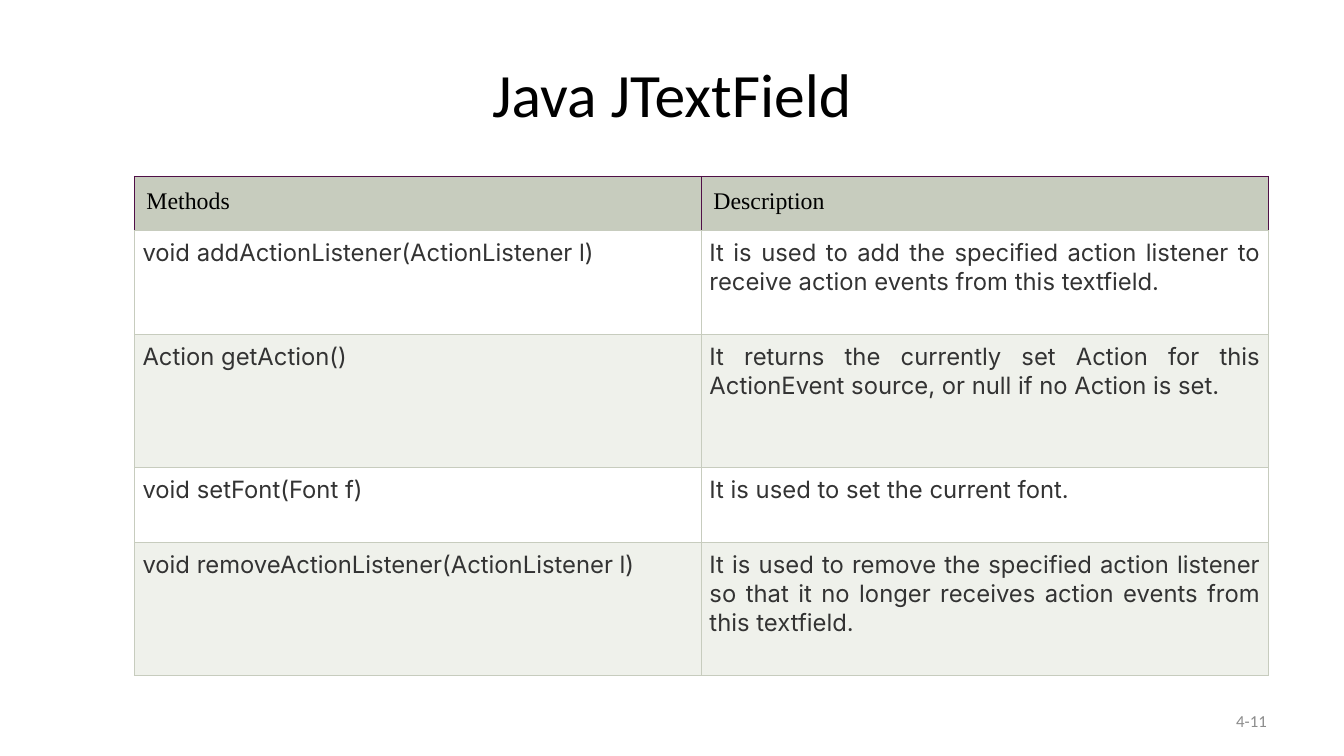
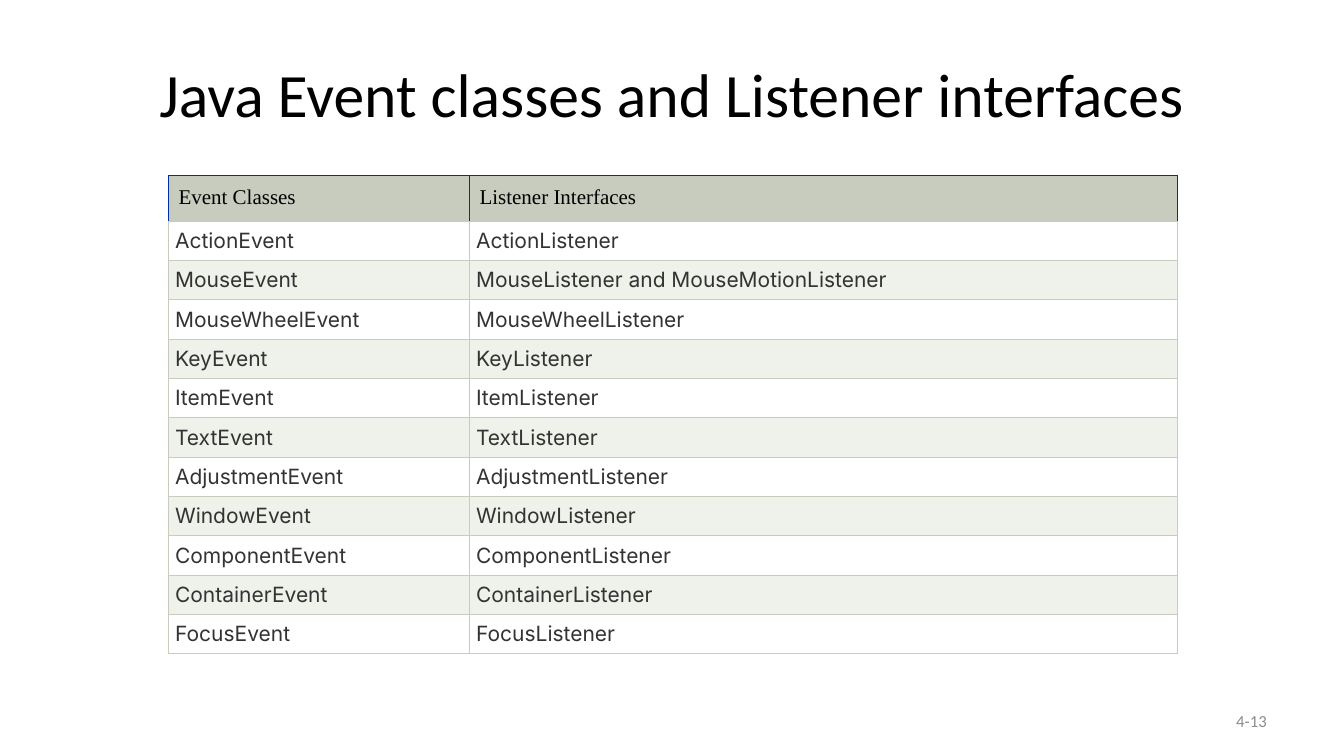
from lxml import etree
from pptx import Presentation
from pptx.dml.color import RGBColor
from pptx.enum.text import MSO_ANCHOR, PP_ALIGN
from pptx.oxml.ns import qn
from pptx.util import Pt

MIDDLE, TOP = MSO_ANCHOR.MIDDLE, MSO_ANCHOR.TOP
LEFT, CENTER, RIGHT, JUSTIFY = PP_ALIGN.LEFT, PP_ALIGN.CENTER, PP_ALIGN.RIGHT, PP_ALIGN.JUSTIFY

BLACK = RGBColor(0x00, 0x00, 0x00)
WHITE = RGBColor(0xFF, 0xFF, 0xFF)
CHARCOAL = RGBColor(0x33, 0x33, 0x33)
GRAY = RGBColor(0x8C, 0x8C, 0x8C)
SAGE = RGBColor(0xC7, 0xCC, 0xBE)
PALE_SAGE = RGBColor(0xEF, 0xF1, 0xEB)
PLUM = RGBColor(0x50, 0x0F, 0x47)
BLUE = RGBColor(0x00, 0x30, 0xA9)

TITLE_ONLY = 5

METHODS = [
    ("Methods", "Description"),
    ("void addActionListener(ActionListener l)",
     "It is used to add the specified action listener to receive action events from this textfield."),
    ("Action getAction()",
     "It returns the currently set Action for this ActionEvent source, or null if no Action is set."),
    ("void setFont(Font f)", "It is used to set the current font."),
    ("void removeActionListener(ActionListener l)",
     "It is used to remove the specified action listener so that it no longer receives "
     "action events from this textfield."),
]

EVENTS = [
    ("Event Classes", "Listener Interfaces"),
    ("ActionEvent", "ActionListener"),
    ("MouseEvent", "MouseListener and MouseMotionListener"),
    ("MouseWheelEvent", "MouseWheelListener"),
    ("KeyEvent", "KeyListener"),
    ("ItemEvent", "ItemListener"),
    ("TextEvent", "TextListener"),
    ("AdjustmentEvent", "AdjustmentListener"),
    ("WindowEvent", "WindowListener"),
    ("ComponentEvent", "ComponentListener"),
    ("ContainerEvent", "ContainerListener"),
    ("FocusEvent", "FocusListener"),
]


class Lecture:
    """Holds the deck, its shared style and the current page."""

    def __init__(self):
        self.deck = Presentation()
        self.deck.slide_width, self.deck.slide_height = Pt(960), Pt(540)
        self.page = None

    def add_page(self, title, number):
        self.page = self.deck.slides.add_slide(self.deck.slide_layouts[TITLE_ONLY])
        heading = self.page.shapes.title
        heading.left, heading.top, heading.width, heading.height = Pt(48), Pt(21.6), Pt(864), Pt(90)
        heading.text_frame.vertical_anchor = MIDDLE
        self.add_text(heading.text_frame, title, "Calibri", 44, BLACK, CENTER)

        box = self.page.shapes.add_textbox(Pt(688), Pt(500.4), Pt(224), Pt(28.8))
        box.text_frame.word_wrap = True
        box.text_frame.vertical_anchor = MIDDLE
        self.add_text(box.text_frame, number, "Calibri", 12, GRAY, RIGHT)

    def add_text(self, frame, text, font, size, color, align):
        para = frame.paragraphs[0]
        para.alignment = align
        span = para.add_run()
        span.text = text
        span.font.name = font
        span.font.size = Pt(size)
        span.font.bold = False
        span.font.color.rgb = color

    def add_border(self, cell, edge, color):
        line = etree.SubElement(cell._tc.get_or_add_tcPr(), qn(f"a:ln{edge}"), w=str(Pt(0.75)))
        fill = etree.SubElement(line, qn("a:solidFill"))
        etree.SubElement(fill, qn("a:srgbClr"), val=str(color))

    def fill_cell(self, cell, text, row, size, inset, accent):
        header = row == 0
        for edge in "LRTB":
            self.add_border(cell, edge, accent if header and edge != "B" else SAGE)
        cell.fill.solid()
        cell.fill.fore_color.rgb = SAGE if header else (PALE_SAGE, WHITE)[row % 2]
        cell.margin_left = cell.margin_right = Pt(inset)
        cell.margin_top = cell.margin_bottom = Pt(inset)
        cell.vertical_anchor = TOP
        if header:
            self.add_text(cell.text_frame, text, "Times New Roman", size, BLACK, LEFT)
        else:
            self.add_text(cell.text_frame, text, "Inter", size, CHARCOAL, JUSTIFY)

    def add_table(self, records, left, top, widths, heights, size, insets, accent):
        frame = self.page.shapes.add_table(
            len(records), len(widths), Pt(left), Pt(top), Pt(sum(widths)), Pt(sum(heights)))
        table = frame.table
        table.first_row = table.horz_banding = False
        for column, width in zip(table.columns, widths):
            column.width = Pt(width)
        for row, (record, height) in enumerate(zip(records, heights)):
            table.rows[row].height = Pt(height)
            for column, text in enumerate(record):
                inset = insets[min(row, 1)]
                self.fill_cell(table.cell(row, column), text, row, size, inset, accent)


def main():
    lecture = Lecture()

    lecture.add_page("Java JTextField", "4-11")
    lecture.add_table(METHODS, 96, 126, [405, 405], [38.5, 74.5, 95, 53.5, 95],
                      size=17, insets=(8.6, 5.8), accent=PLUM)

    lecture.add_page("Java Event classes and Listener interfaces", "4-13")
    lecture.add_table(EVENTS, 120.2, 125.2, [215, 506.2], [32.5] + [28.1] * (len(EVENTS) - 1),
                      size=15, insets=(7.4, 4.9), accent=BLUE)

    lecture.deck.save("out.pptx")


if __name__ == "__main__":
    main()
